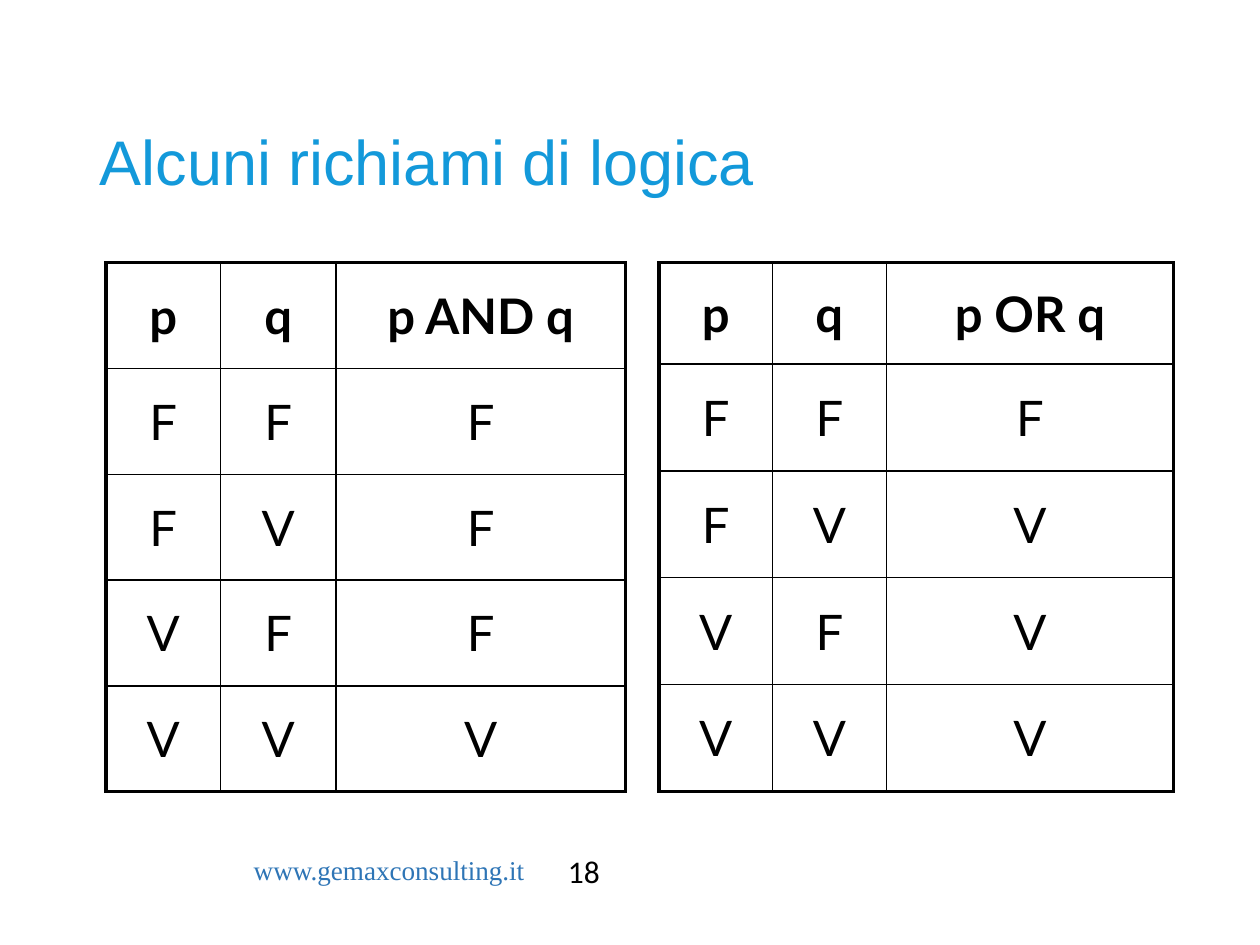
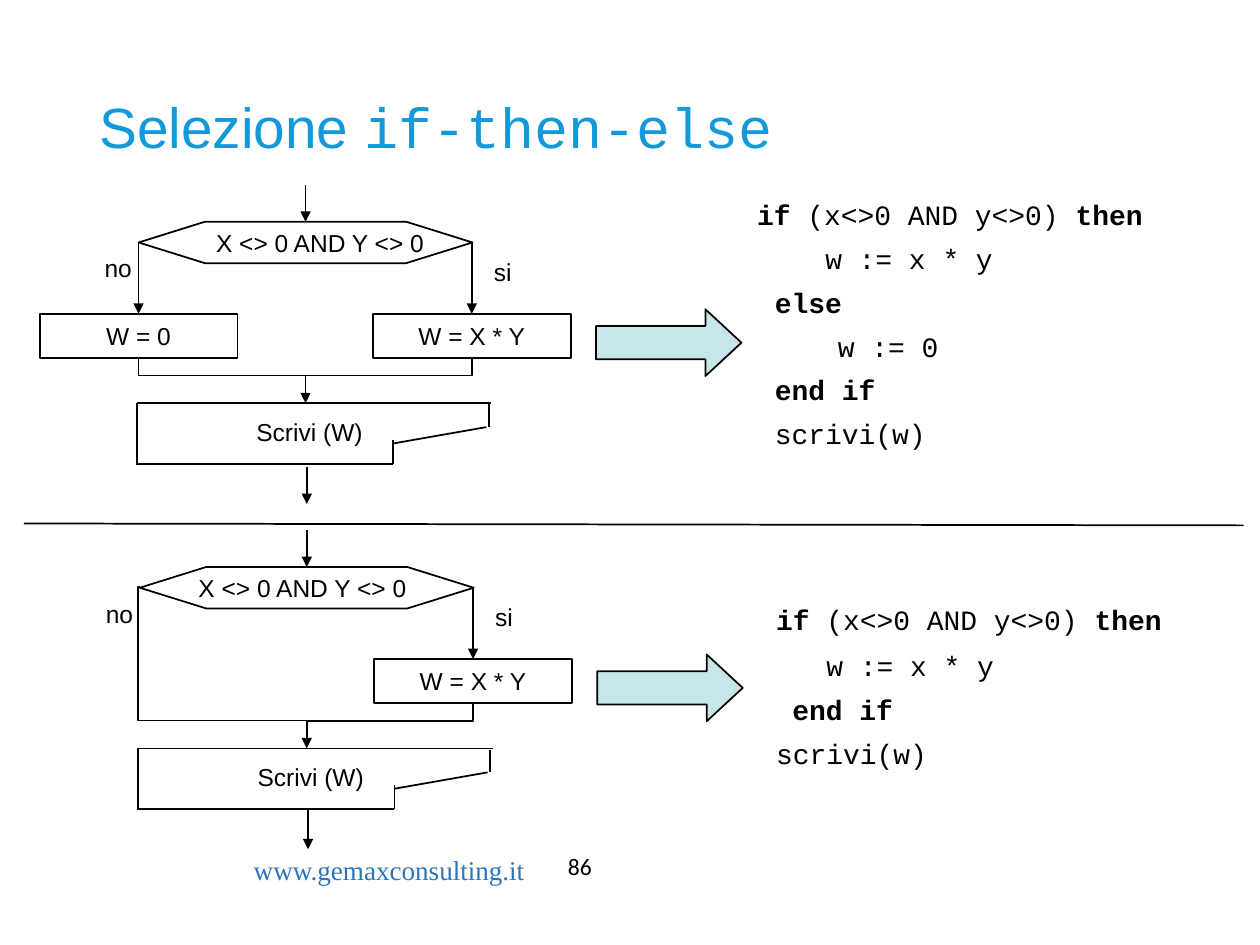
from lxml import etree
from pptx import Presentation
from pptx.dml.color import RGBColor
from pptx.enum.shapes import MSO_CONNECTOR, MSO_SHAPE
from pptx.enum.text import MSO_ANCHOR, MSO_AUTO_SIZE, PP_ALIGN
from pptx.oxml.ns import qn
from pptx.util import Inches, Pt

STRAIGHT = MSO_CONNECTOR.STRAIGHT
RECTANGLE, HEXAGON, RIGHT_ARROW = MSO_SHAPE.RECTANGLE, MSO_SHAPE.HEXAGON, MSO_SHAPE.RIGHT_ARROW
MIDDLE, CENTER, LEFT = MSO_ANCHOR.MIDDLE, PP_ALIGN.CENTER, PP_ALIGN.LEFT
COLORS = {"title": "1399DA", "site": "2E75B6", "ink": "000000", "arrow": "C6E6E9"}
SANS, MONO, SERIF = "Arial", "Courier New", "Times New Roman"

prs = Presentation()
prs.slide_width, prs.slide_height = Inches(10), Inches(7.5)
COL, ROW = prs.slide_width / 100, prs.slide_height / 75


def add_run(paragraph, text, font, size, color="ink", bold=False):
    run = paragraph.add_run()
    run.text = text
    run.font.name, run.font.size, run.font.bold = font, Pt(size), bold
    run.font.color.rgb = RGBColor.from_string(COLORS[color])


def add_text_frame(slide, left, top, width, height, margin=0):
    frame = slide.shapes.add_textbox(
        int(left * COL), int(top * ROW), int(width * COL), int(height * ROW)).text_frame
    frame.word_wrap = True
    frame.margin_left = frame.margin_right = int(margin * COL)
    frame.margin_top = frame.margin_bottom = int(margin / 2 * ROW)
    return frame


pages = [
    ([("Alcuni richiami di logica", SANS)], 36, 14.5, "18", 18),
    ([("Selezione ", SANS), ("if-then-else", MONO)], 32.4, 9.2, "86", 13.5),
]
slides = []
for title_parts, title_size, title_height, number, number_size in pages:
    slide = prs.slides.add_slide(prs.slide_layouts[5])
    slides.append(slide)
    title = slide.shapes.title
    title.left, title.top = int(6.9 * COL), int(4 * ROW)
    title.width, title.height = int(86.2 * COL), int(title_height * ROW)
    title.text_frame.auto_size = MSO_AUTO_SIZE.NONE
    title.text_frame.vertical_anchor = MIDDLE
    heading = title.text_frame.paragraphs[0]
    heading.alignment, heading.line_spacing = LEFT, 1.5
    for text, font in title_parts:
        add_run(heading, text, font, title_size, "title")
    site = add_text_frame(slide, 19.15, 67.25, 25.9, 3.6, 1)
    add_run(site.paragraphs[0], "www.gemaxconsulting.it", SERIF, 15.5, "site")
    page_number = add_text_frame(slide, 44.1, 67.1, 8.7, 4, 1)
    add_run(page_number.paragraphs[0], number, "Calibri", number_size)

logic_slide, selection_slide = slides

truth_tables = [
    ("AND", "FFFV", 8.4, [9.1, 9.15, 23], 8.4, 8.4),
    ("OR", "FVVV", 52.3, [9, 9.05, 22.8], 8.05, 8.48),
]
for operator, results, left, widths, header_height, row_height in truth_tables:
    content = [["p", "q", f"p {operator} q"]]
    content += [[*pair, result] for pair, result in zip(("FF", "FV", "VF", "VV"), results)]
    heights = [header_height] + [row_height] * 4
    truth_table = logic_slide.shapes.add_table(
        5, 3, int(left * COL), int(20.85 * ROW),
        int(sum(widths) * COL), int(sum(heights) * ROW)).table
    truth_table.first_row = truth_table.horz_banding = False
    for column, width in zip(truth_table.columns, widths):
        column.width = int(width * COL)
    for r, (values, height) in enumerate(zip(content, heights)):
        truth_table.rows[r].height = int(height * ROW)
        for c, value in enumerate(values):
            cell = truth_table.cell(r, c)
            cell.vertical_anchor = MIDDLE
            paragraph = cell.text_frame.paragraphs[0]
            paragraph.alignment = CENTER
            add_run(paragraph, value, "Lato", 28, bold=r == 0)
            properties = cell._tc.get_or_add_tcPr()
            outer_sides = {"L": c == 0, "R": c == 2, "T": r == 0, "B": r == 4}
            for side, is_outer in outer_sides.items():
                border = etree.SubElement(properties, qn(f"a:ln{side}"),
                                          w=str(Pt(2.25 if is_outer else 1)))
                ink = etree.SubElement(border, qn("a:solidFill"))
                etree.SubElement(ink, qn("a:srgbClr"), val=COLORS["ink"])
            cell.fill.background()

flows = [
    {"dx": 0, "dy": 0, "else": True, "condition": 17.15, "exit": 37.1,
     "no_branch": [(11, 28.4), (11, 29.8), (24.3, 29.8)]},
    {"dx": 0.1, "dy": 27.4, "else": False, "condition": 15.65, "exit": 36.8,
     "no_branch": [(11, 19.2), (10.85, 19.2), (10.85, 29.8), (24.3, 29.8)]},
]
yes_branch = [(24.3, 29.8), (37.45, 29.8), (37.45, 28.4)]
document_edges = [(10.85, 32, 10.85, 36.9), (10.85, 36.8, 31.2, 36.8), (10.85, 32, 39, 32),
                  (31.2, 36.8, 31.2, 34.9), (31.2, 35.2, 38.6, 33.9), (38.8, 32.1, 38.8, 33.9)]
for flow in flows:
    dx, dy = flow["dx"], flow["dy"]
    shapes = selection_slide.shapes

    outlined = []
    for points in (flow["no_branch"], yes_branch):
        start, *others = [(int((x + dx) * COL), int((y + dy) * ROW)) for x, y in points]
        builder = shapes.build_freeform(*start)
        builder.add_line_segments(others, close=False)
        outlined.append(builder.convert_to_shape())

    blocks = [(HEXAGON, 11, 17.6, 26.5, 3.3, ""),
              (RIGHT_ARROW, 47.3, 24.55, 11.55, 5.3, ""),
              (RECTANGLE, 29.6, 24.9, 15.7, 3.5, "W = X * Y")]
    if flow["else"]:
        blocks.append((RECTANGLE, 3.15, 24.9, 15.7, 3.5, "W = 0"))
    assignments = []
    for kind, left, top, width, height, text in blocks:
        block = shapes.add_shape(kind, int((left + dx) * COL), int((top + dy) * ROW),
                                 int(width * COL), int(height * ROW))
        outlined.append(block)
        if kind == HEXAGON:
            block.adjustments[0] = 1.6
        elif kind == RIGHT_ARROW:
            block.adjustments[0], block.adjustments[1] = 0.5, 0.54
        else:
            assignments.append(block)
            frame = block.text_frame
            frame.margin_top = frame.margin_bottom = 0
            frame.vertical_anchor = MIDDLE
            frame.paragraphs[0].alignment = CENTER
            add_run(frame.paragraphs[0], text, SANS, 14)

    for shape in outlined:
        shape.shadow.inherit = False
        shape.line.color.rgb = RGBColor.from_string(COLORS["ink"])
        shape.line.width = Pt(1)
        shape.fill.background()
    arrow = outlined[3]
    arrow.fill.solid()
    arrow.fill.fore_color.rgb = RGBColor.from_string(COLORS["arrow"])

    labels = [("X <> 0 AND Y <> 0", flow["condition"], 18.1, 19), ("no", 8.3, 20.1, 3),
              ("si", 39.2, 20.4, 3), ("Scrivi (W)", 20.35, 33.1, 10)]
    for text, left, top, width in labels:
        label = add_text_frame(selection_slide, left + dx, top + dy, width, 2.5)
        add_run(label.paragraphs[0], text, SANS, 14)

    steps = [(24.25, 14.7, 17.6, None), (24.25, 29.8, 32, None),
             (24.35, flow["exit"], 40, None), (37.45, 19.2, 24.9, assignments[0])]
    if flow["else"]:
        steps.append((11, 19.2, 24.9, assignments[1]))
    lines = [(x1, y1, x2, y2, None, False) for x1, y1, x2, y2 in document_edges]
    lines += [(x, start, x, end, target, True) for x, start, end, target in steps]
    for x1, y1, x2, y2, target, has_head in lines:
        line = shapes.add_connector(STRAIGHT, int((x1 + dx) * COL), int((y1 + dy) * ROW),
                                    int((x2 + dx) * COL), int((y2 + dy) * ROW))
        if target is not None:
            line.end_connect(target, 0)
        line.line.color.rgb = RGBColor.from_string(COLORS["ink"])
        line.line.width = Pt(1)
        if has_head:
            etree.SubElement(line.line._get_or_add_ln(), qn("a:tailEnd"), type="triangle")
        etree.SubElement(line._element.spPr, qn("a:effectLst"))

divider = selection_slide.shapes.add_connector(
    STRAIGHT, int(1.9 * COL), int(41.55 * ROW), int(98.7 * COL), int(41.7 * ROW))
divider.line.color.rgb = RGBColor.from_string(COLORS["ink"])
divider.line.width = Pt(1)
etree.SubElement(divider._element.spPr, qn("a:effectLst"))

condition_line = [("if ", True), ("(x<>0 AND y<>0) ", False), ("then", True)]
product_line = [("w := x * y", False)]
end_line = [("end if", True)]
write_line = [("scrivi(w)", False)]
programs = [
    (60.1, 14.9, 0, [(0, condition_line), (5.4, product_line), (1.4, [("else", True)]),
                     (6.4, [("w := 0", False)]), (1.4, end_line), (1.4, write_line)]),
    (61.6, 47, 1.6, [(0, condition_line), (4, product_line),
                     (1.3, end_line), (0, write_line)]),
]
for left, top, body_gap, code_lines in programs:
    program = add_text_frame(selection_slide, left, top, 36, 3.5 * len(code_lines))
    for i, (indent, parts) in enumerate(code_lines):
        code_line = program.add_paragraph() if i else program.paragraphs[0]
        code_line.line_spacing = Pt(25)
        if i == 1:
            code_line.space_before = Pt(body_gap)
        code_line._p.get_or_add_pPr().set("marL", str(int(indent * COL)))
        for text, bold in parts:
            add_run(code_line, text, MONO, 16, bold=bold)

prs.save("out.pptx")
